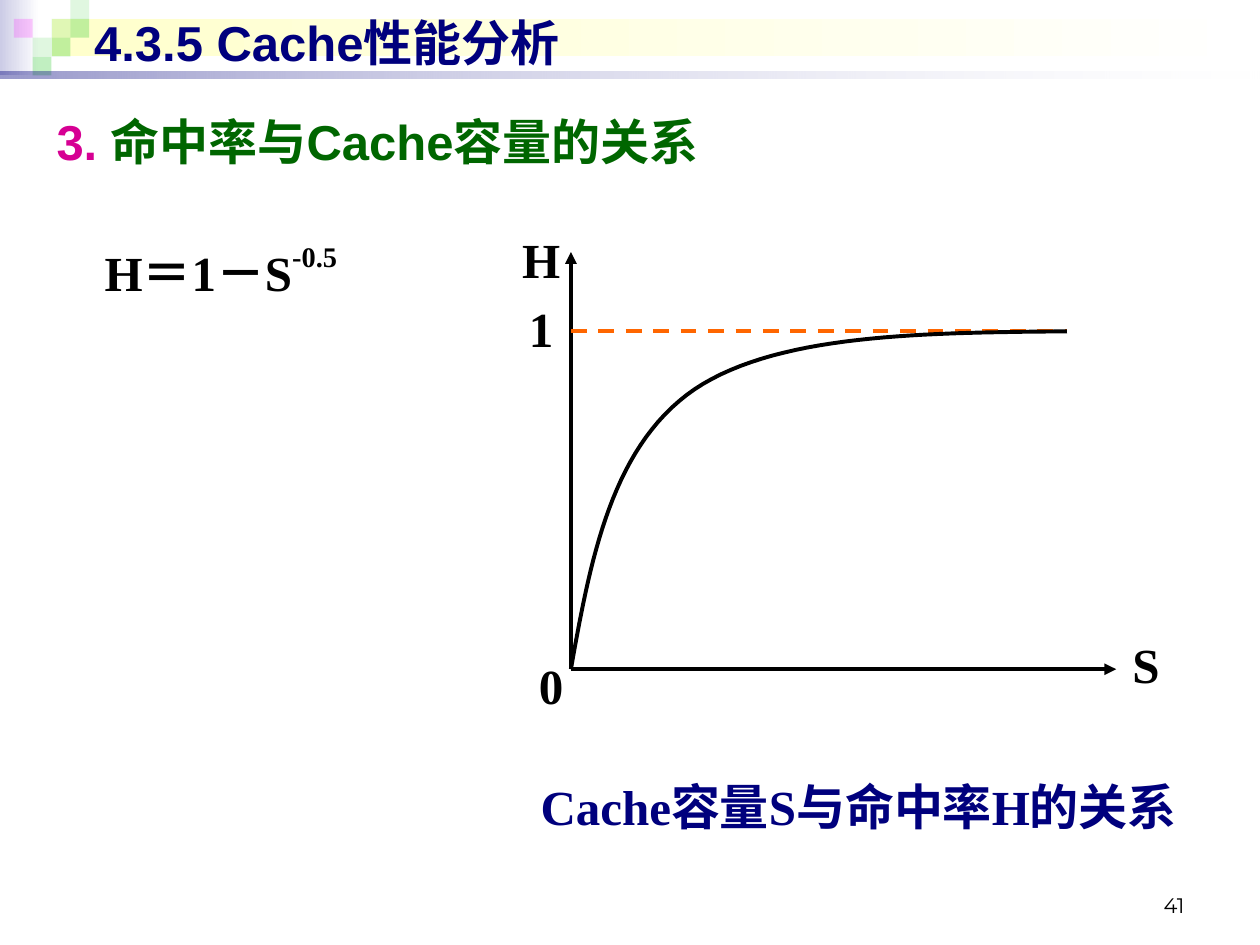
from lxml import etree
from pptx import Presentation
from pptx import util as u
from pptx.dml.color import RGBColor
from pptx.enum import dml, shapes, text
from pptx.oxml.ns import qn

NAVY = RGBColor(0x00, 0x00, 0x7D)
BLACK = RGBColor(0x00, 0x00, 0x00)
WHITE = RGBColor(0xFF, 0xFF, 0xFF)
LAVENDER = RGBColor(0xCC, 0xCC, 0xE6)
CREAM = RGBColor(0xFF, 0xFF, 0xCC)
GREEN = RGBColor(0x33, 0xCC, 0x33)
DARK_GREEN = RGBColor(0x00, 0x66, 0x00)
MAGENTA = RGBColor(0xFF, 0x00, 0xFF)
PINK = RGBColor(0xD6, 0x00, 0x93)
ORANGE = RGBColor(0xFF, 0x66, 0x00)

SERIF = "Times New Roman"
ALIGN = text.PP_ALIGN
ANCHOR = text.MSO_ANCHOR

# Chart geometry in centimetres
ORIGIN_X, ORIGIN_Y = 11.51, 13.49
LIMIT_X, LIMIT_Y = 21.51, 6.68


def set_alpha(color_node, percent):
    etree.SubElement(color_node, qn("a:alpha")).set("val", str(percent * 1000))


def add_rectangle(page, left, top, width, height):
    box = page.shapes.add_shape(shapes.MSO_SHAPE.RECTANGLE, u.Cm(left), u.Cm(top),
                                u.Cm(width), u.Cm(height))
    box.shadow.inherit = False
    box.line.fill.background()
    return box


def add_square(page, column, row, color, opacity):
    size = 0.38
    box = add_rectangle(page, 0.28 + column * size, row * size, size, size)
    box.fill.solid()
    box.fill.fore_color.rgb = color
    set_alpha(box.fill._xPr.find(".//" + qn("a:srgbClr")), opacity)


def add_gradient(page, left, top, width, height, start, opacities=(100, 100)):
    box = add_rectangle(page, left, top, width, height)
    box.fill.gradient()
    box.fill.gradient_angle = 0
    for stop, color in zip(box.fill.gradient_stops, (start, WHITE)):
        stop.color.rgb = color
    color_nodes = box.fill._xPr.findall(".//" + qn("a:srgbClr"))
    for node, opacity in zip(color_nodes, opacities):
        if opacity < 100:
            set_alpha(node, opacity)


def add_span(para, content, font=SERIF, size=28, color=BLACK, bold=True, baseline=0):
    span = para.add_run()
    span.text = content
    span.font.name = font
    span.font.size = u.Pt(size)
    span.font.bold = bold
    span.font.color.rgb = color
    if baseline:
        span.font._element.set("baseline", str(baseline * 1000))


def add_box(page, left, top, width, height, anchor=ANCHOR.TOP):
    box = page.shapes.add_textbox(u.Cm(left), u.Cm(top), u.Cm(width), u.Cm(height))
    box.text_frame.word_wrap = True
    box.text_frame.vertical_anchor = anchor
    return box.text_frame


def add_text(page, content, left, top, width=1.6, height=1.45,
             align=ALIGN.CENTER, anchor=ANCHOR.TOP, **style):
    para = add_box(page, left, top, width, height, anchor).paragraphs[0]
    para.alignment = align
    add_span(para, content, **style)


def add_line(page, end_x, end_y, start_y=ORIGIN_Y, color=BLACK, arrow=True):
    line = page.shapes.add_connector(shapes.MSO_CONNECTOR.STRAIGHT, u.Cm(ORIGIN_X),
                                     u.Cm(start_y), u.Cm(end_x), u.Cm(end_y))
    line.line.width = u.Pt(2.25)
    line.line.color.rgb = color
    if arrow:
        tail = etree.SubElement(line.line._get_or_add_ln(), qn("a:tailEnd"))
        tail.set("type", "triangle")
    else:
        line.line.dash_style = dml.MSO_LINE.DASH
    etree.SubElement(line._element.spPr, qn("a:effectLst"))


def bezier_points(nodes, steps=30):
    for step in range(1, steps + 1):
        t = step / steps
        weights = ((1 - t) ** 3, 3 * t * (1 - t) ** 2, 3 * t * t * (1 - t), t ** 3)
        yield tuple(u.Cm(sum(w * node[axis] for w, node in zip(weights, nodes)))
                    for axis in (0, 1))


def add_curve(page):
    middle = (14, 7.85)
    rise = ((ORIGIN_X, ORIGIN_Y), (11.91, 11.23), (12.34, 8.99), middle)
    level = (middle, (15.67, 6.73), (18.59, 6.71), (LIMIT_X, LIMIT_Y))
    builder = page.shapes.build_freeform(u.Cm(ORIGIN_X), u.Cm(ORIGIN_Y))
    builder.add_line_segments([*bezier_points(rise), *bezier_points(level)], close=False)
    curve = builder.convert_to_shape()
    curve.shadow.inherit = False
    curve.fill.background()
    curve.line.color.rgb = BLACK
    curve.line.width = u.Pt(2.25)


def add_header(page):
    add_gradient(page, 0, 0, 0.79, 1.52, LAVENDER)
    add_gradient(page, 1.04, 0.38, 24.26, 0.76, CREAM)
    for column, row, color, opacity in (
            (2, 1, GREEN, 15), (3, 0, GREEN, 15), (3, 1, GREEN, 30), (1, 2, GREEN, 15),
            (0, 1, MAGENTA, 20), (2, 2, GREEN, 30), (1, 3, GREEN, 30)):
        add_square(page, column, row, color, opacity)
    add_gradient(page, 0, 1.45, 25.4, 0.13, NAVY, (40, 10))
    add_text(page, "4.3.5 Cache性能分析", 1.65, 0.13, 22.86, align=ALIGN.LEFT,
             anchor=ANCHOR.MIDDLE, font="Arial", color=NAVY)


def add_body(page):
    frame = add_box(page, 0.89, 2.13, 24, 4.6)
    heading = frame.paragraphs[0]
    add_span(heading, "3. ", font="Arial", color=PINK)
    add_span(heading, "命中率与Cache容量的关系", font="Arial", color=DARK_GREEN)
    formula = frame.add_paragraph()
    formula.space_before = u.Pt(39)
    formula._p.get_or_add_pPr().set("marL", str(u.Cm(0.97)))
    add_span(formula, "H＝1－S")
    add_span(formula, "-0.5", baseline=50)


def add_chart_drawing(page):
    # Axes, upper limit and hit-rate curve
    add_line(page, 22.5, ORIGIN_Y)
    add_line(page, ORIGIN_X, 5.08)
    add_line(page, LIMIT_X, LIMIT_Y, start_y=LIMIT_Y, color=ORANGE, arrow=False)
    add_curve(page)
    # Labels and caption
    for label, left, top in (("H", 10.11, 4.5), ("1", 10.11, 5.89),
                             ("0", 10.31, 13.08), ("S", 22.3, 12.67)):
        add_text(page, label, left, top)
    add_text(page, "Cache容量S与命中率H的关系", 10.31, 15.52, 14, color=NAVY)


def main():
    deck = Presentation()
    deck.slide_width, deck.slide_height = u.Cm(25.4), u.Cm(19.05)
    page = deck.slides.add_slide(deck.slide_layouts[6])
    add_header(page)
    add_body(page)
    add_chart_drawing(page)
    # Page number
    add_text(page, "41", 18.21, 17.35, 5.92, 1.27, align=ALIGN.RIGHT,
             anchor=ANCHOR.BOTTOM, font="Montserrat", size=12, bold=False)
    deck.save("out.pptx")


if __name__ == "__main__":
    main()
